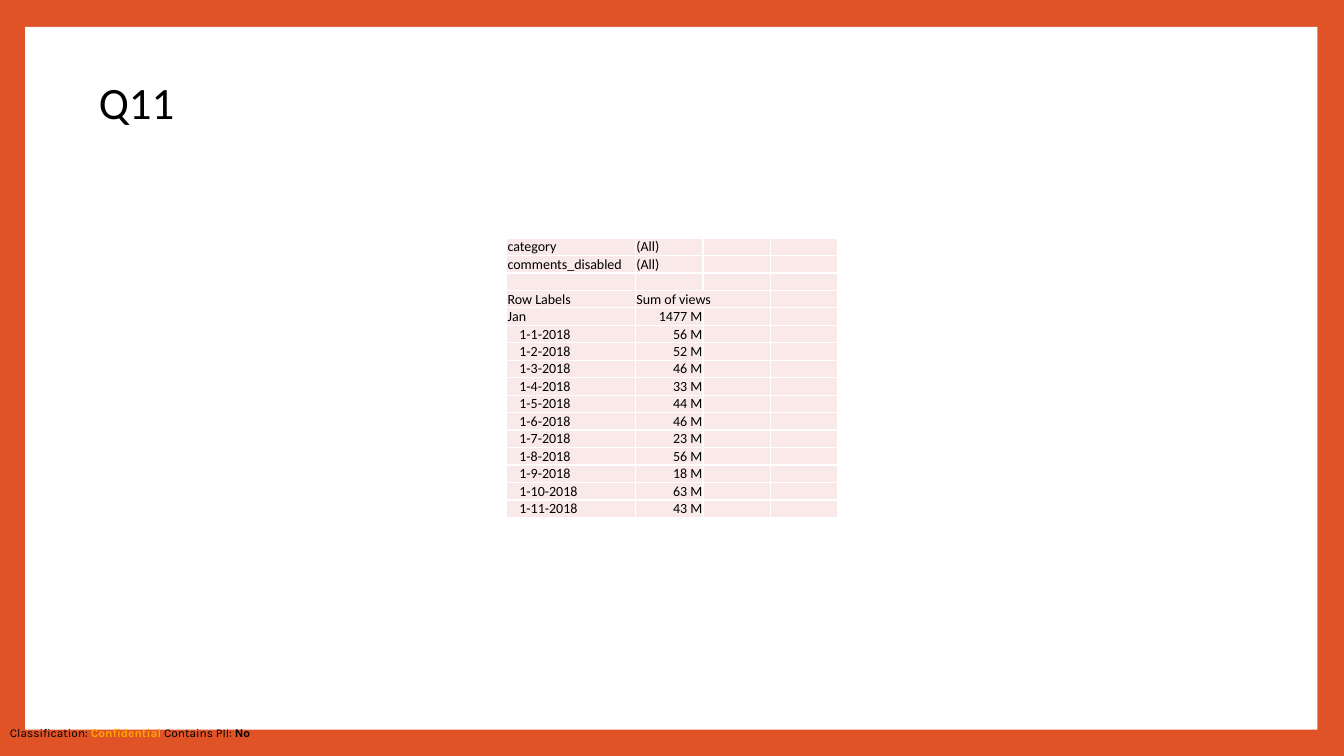
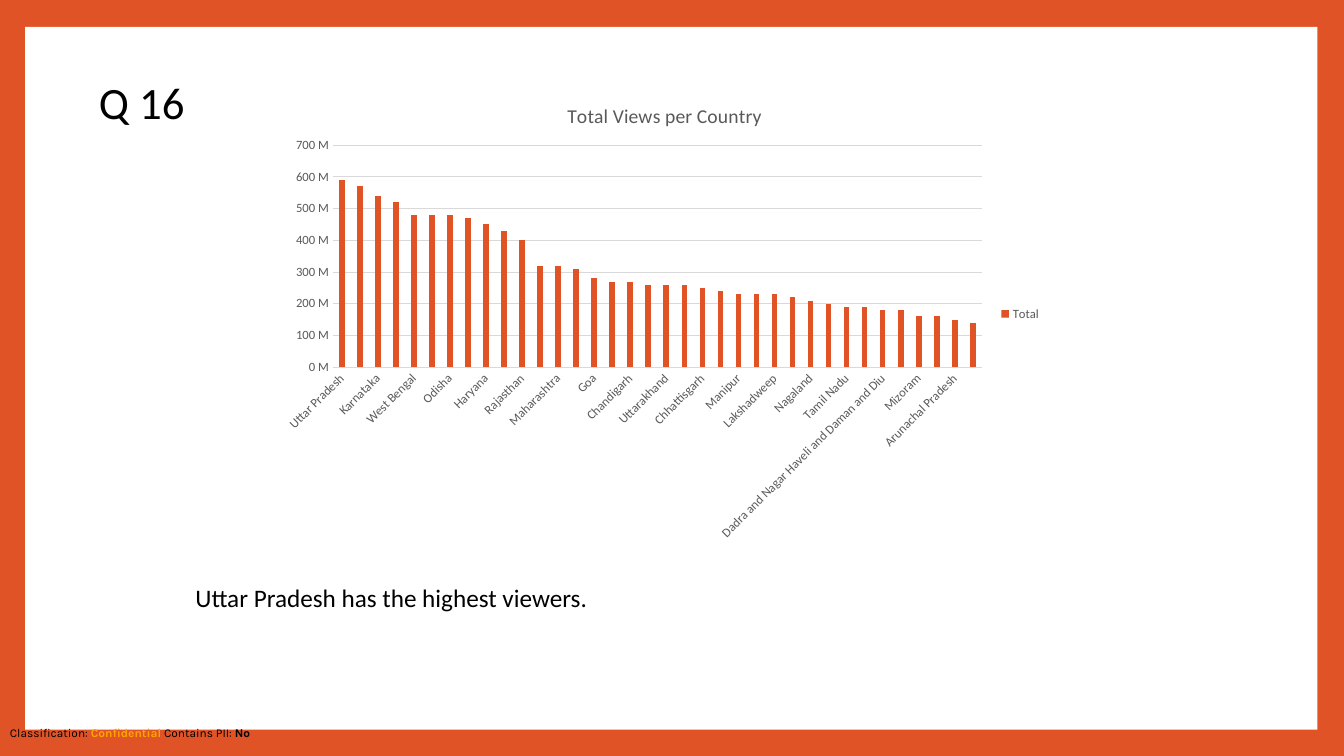
from lxml import etree
from pptx import Presentation
from pptx.chart.data import CategoryChartData
from pptx.dml.color import RGBColor
from pptx.enum import chart as charts, shapes, text
from pptx.oxml import ns
from pptx.util import Pt

# Content
TITLES = ["Q11", "Q 16"]
FOOTER = [("Classification: ", "000000", False), ("Confidential", "FFA500", True),
          (" Contains PII: ", "000000", False), ("No", "000000", True)]
PIVOT_HEAD = [("category", "(All)"), ("comments_disabled", "(All)"), ("", ""),
              ("Row Labels", "Sum of views"), ("Jan", "1477 M")]
DAILY_VIEWS = [56, 52, 46, 33, 44, 46, 23, 56, 18, 63, 43]
CHART_TITLE = "Total Views per Country"
STATE_VIEWS = [  # millions
    ("Uttar Pradesh", 590), ("Andhra Pradesh", 570), ("Karnataka", 540),
    ("Bihar", 520), ("West Bengal", 480), ("Telangana", 480),
    ("Odisha", 480), ("Punjab", 470), ("Haryana", 450),
    ("Kerala", 430), ("Rajasthan", 400), ("Tripura", 320),
    ("Maharashtra", 320), ("Himachal Pradesh", 310), ("Goa", 280),
    ("Ladakh", 270), ("Chandigarh", 270), ("Meghalaya", 260),
    ("Uttarakhand", 260), ("Gujarat", 260), ("Chhattisgarh", 250),
    ("Jharkhand", 240), ("Manipur", 230), ("Jammu and Kashmir", 230),
    ("Lakshadweep", 230), ("Madhya Pradesh", 220), ("Nagaland", 210),
    ("Puducherry", 200), ("Tamil Nadu", 190), ("Delhi", 190),
    ("Dadra and Nagar Haveli and Daman and Diu", 180), ("Assam", 180),
    ("Mizoram", 160), ("Andaman and Nicobar Islands", 160),
    ("Arunachal Pradesh", 150), ("Sikkim", 140)]
FINDING = "Uttar Pradesh has the highest viewers."

# Shared style
ORANGE, WHITE, BLACK = "DF5327", "FFFFFF", "000000"
BLUSH, GRAY, GRID = "F9E9E8", "595959", "D9D9D9"
FONT, FOOTER_FONT = "Calibri", "Karla"
MILLION = 1_000_000


def color(value):
    return RGBColor.from_string(value)


def paint(fill, value):
    fill.solid()
    fill.fore_color.rgb = color(value)


def style(font, size, value=BLACK, name=FONT, bold=False):
    font.size, font.name, font.bold = Pt(size), name, bold
    font.color.rgb = color(value)


def add_text(slide, box):
    frame = slide.shapes.add_textbox(*map(Pt, box)).text_frame
    frame.word_wrap = True
    return frame


def add_child(parent, tag, **attributes):
    return etree.SubElement(parent, ns.qn(tag), attributes)


# Template parts: orange background, white panel and classification line
def build_layout(presentation, layout, slide):
    paint(presentation.slide_master.background.fill, ORANGE)
    panel = slide.shapes.add_shape(
        shapes.MSO_SHAPE.RECTANGLE, Pt(18), Pt(19.2), Pt(923), Pt(502))
    panel.shadow.inherit = False
    paint(panel.fill, WHITE)
    panel.line.fill.background()

    footer = add_text(slide, (0, 514.8, 960, 17.3))
    for words, value, bold in FOOTER:
        run = footer.paragraphs[0].add_run()
        run.text = words
        style(run.font, 8.5, value, FOOTER_FONT, bold)
    footer_shape = slide.shapes[-1]
    for position, shape in enumerate((panel, footer_shape), start=2):
        layout.shapes.element.insert(position, shape.element)


def set_title(slide, words):
    title = slide.shapes.title
    title.left, title.top, title.width, title.height = map(Pt, (63.4, 49.7, 82, 46))
    frame = title.text_frame
    frame.text = words
    frame.word_wrap = False
    frame.auto_size = text.MSO_AUTO_SIZE.NONE
    frame.vertical_anchor = text.MSO_ANCHOR.TOP
    frame.paragraphs[0].alignment = text.PP_ALIGN.LEFT
    style(frame.paragraphs[0].runs[0].font, 32)


# Pivot table
def fill_cell(cell, words, indent, right):
    cell.margin_left, cell.margin_right = Pt(indent), Pt(0.6)
    cell.margin_top, cell.margin_bottom = Pt(0.3), Pt(0)
    cell.vertical_anchor = text.MSO_ANCHOR.BOTTOM
    properties = cell._tc.get_or_add_tcPr()
    for side in ("a:lnL", "a:lnR", "a:lnT", "a:lnB"):
        line = add_child(properties, side, w=str(Pt(1)))
        add_child(add_child(line, "a:solidFill"), "a:srgbClr", val=WHITE)
    paint(cell.fill, BLUSH)
    paragraph = cell.text_frame.paragraphs[0]
    if words:
        paragraph.text = words
        paragraph.alignment = text.PP_ALIGN.RIGHT if right else text.PP_ALIGN.LEFT
        style(paragraph.runs[0].font, 10)
    else:
        add_child(paragraph._p, "a:endParaRPr", sz="1000")


def add_pivot(slide):
    days = [(f"1-{day}-2018", f"{views} M") for day, views in enumerate(DAILY_VIEWS, 1)]
    rows = PIVOT_HEAD + days
    widths, row_height = (92, 48.2, 48.2, 48.2), 12.5
    frame = slide.shapes.add_table(len(rows), len(widths), Pt(362), Pt(170),
                                   Pt(sum(widths)), Pt(row_height * len(rows)))
    table = frame.table
    table.first_row = table.horz_banding = False
    for column, width in zip(table.columns, widths):
        column.width = Pt(width)
    for index, row in enumerate(rows):
        table.rows[index].height = Pt(row_height)
        for column, words in enumerate(row + ("", "")):
            is_day = column == 0 and index >= len(PIVOT_HEAD)
            fill_cell(table.cell(index, column), words, 9 if is_day else 0.6,
                      words.endswith(" M"))
    header = PIVOT_HEAD.index(("Row Labels", "Sum of views"))
    table.cell(header, 1).merge(table.cell(header, 2))


# Column chart
def place_in_chart(element, position, **fractions):
    for old in element.findall(ns.qn("c:layout")):
        element.remove(old)
    layout = etree.Element(ns.qn("c:layout"))
    manual = add_child(layout, "c:manualLayout")
    if "w" in fractions:
        add_child(manual, "c:layoutTarget", val="inner")
    for axis in ("x", "y"):
        add_child(manual, f"c:{axis}Mode", val="edge")
    for key, fraction in fractions.items():
        add_child(manual, f"c:{key}", val=str(fraction))
    element.insert(position, layout)


def add_views_chart(slide):
    data = CategoryChartData(number_format='0,,\\ "M"')
    data.categories = [state for state, _ in STATE_VIEWS]
    data.add_series("Total", [views * MILLION for _, views in STATE_VIEWS])
    chart = slide.shapes.add_chart(
        charts.XL_CHART_TYPE.COLUMN_CLUSTERED, Pt(193.7), Pt(55.4), Pt(557.3),
        Pt(337.7), data).chart
    style(chart.font, 10)

    chart.has_title = True
    title = chart.chart_title
    title.text_frame.text = CHART_TITLE
    style(title.text_frame.paragraphs[0].runs[0].font, 14, GRAY)
    place_in_chart(title._element, 1, x=0.375, y=0.045)
    place_in_chart(chart._chartSpace.chart.plotArea, 0, x=0.079, y=0.143, w=0.832, h=0.47)

    chart.has_legend = True
    chart.legend.position = charts.XL_LEGEND_POSITION.RIGHT
    chart.legend.include_in_layout = False
    style(chart.legend.font, 9, GRAY)

    plot = chart.plots[0]
    plot.gap_width, plot.overlap, plot.vary_by_categories = 219, -27, False
    series = plot.series[0]
    series.invert_if_negative = False
    paint(series.format.fill, ORANGE)

    category_axis, value_axis = chart.category_axis, chart.value_axis
    for axis in (category_axis, value_axis):
        axis.major_tick_mark = axis.minor_tick_mark = charts.XL_TICK_MARK.NONE
        style(axis.tick_labels.font, 9, GRAY)
    labels = category_axis._element.find(ns.qn("c:txPr"))
    labels.find(ns.qn("a:bodyPr")).set("rot", str(-45 * 60000))
    value_axis.minimum_scale, value_axis.maximum_scale = 0, 700 * MILLION
    value_axis.major_unit = 100 * MILLION
    value_axis.tick_labels.number_format = '0,,\\ "M"'
    value_axis.tick_labels.number_format_is_linked = False
    value_axis.format.line.fill.background()
    for line in (category_axis.format.line, value_axis.major_gridlines.format.line):
        line.width = Pt(0.75)
        line.color.rgb = color(GRID)


def add_finding(slide):
    frame = add_text(slide, (132.5, 412.6, 567.4, 29))
    frame.text = FINDING
    style(frame.paragraphs[0].runs[0].font, 18)


def main():
    presentation = Presentation()
    presentation.slide_width, presentation.slide_height = Pt(960), Pt(540)
    layout = presentation.slide_layouts.get_by_name("Title Only")
    slides = [presentation.slides.add_slide(layout) for _ in TITLES]
    build_layout(presentation, layout, slides[0])
    for slide, title in zip(slides, TITLES):
        set_title(slide, title)
    pivot_slide, chart_slide = slides
    add_pivot(pivot_slide)
    add_views_chart(chart_slide)
    add_finding(chart_slide)
    presentation.save("out.pptx")


if __name__ == "__main__":
    main()
